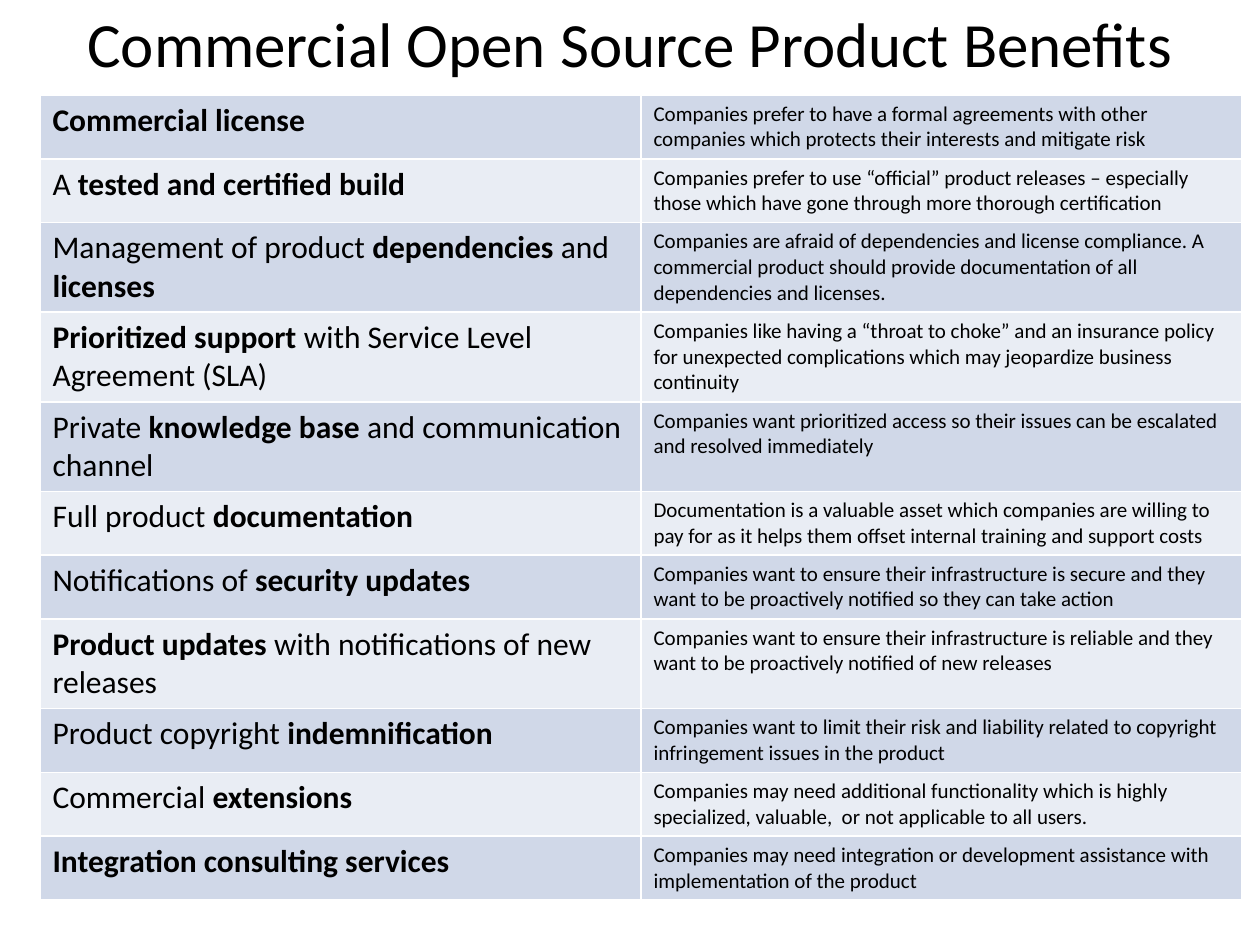
from lxml import etree
from pptx import Presentation
from pptx import util as u
from pptx.dml.color import RGBColor
from pptx.enum import text
from pptx.oxml.ns import qn

PX = 914400 // 126
BLACK = RGBColor(0x00, 0x00, 0x00)
WHITE = RGBColor(0xFF, 0xFF, 0xFF)
BANDS = [RGBColor(0xD0, 0xD8, 0xE8), RGBColor(0xE9, 0xED, 0xF4)]
COL_W, ROW_H = 601, 63

# Bold words stand between asterisks.
BENEFITS = [
    ("*Commercial license*",
     "Companies prefer to have a formal agreements with other companies "
     "which protects their interests and mitigate risk"),
    ("A *tested and certified build*",
     "Companies prefer to use “official” product releases – especially "
     "those which have gone through more thorough certification"),
    ("Management of product *dependencies *and* licenses*",
     "Companies are afraid of dependencies and license compliance. A commercial "
     "product should provide documentation of all dependencies and licenses."),
    ("*Prioritized support* with Service Level Agreement (SLA)",
     "Companies like having a “throat to choke” and an insurance policy for "
     "unexpected complications which may jeopardize business continuity"),
    ("Private *knowledge base* and communication channel",
     "Companies want prioritized access so their issues can be escalated "
     "and resolved immediately"),
    ("Full product *documentation*",
     "Documentation is a valuable asset which companies are willing to pay for "
     "as it helps them offset internal training and support costs"),
    ("Notifications of *security updates*",
     "Companies want to ensure their infrastructure is secure and they want "
     "to be proactively notified so they can take action"),
    ("*Product updates* with notifications of new releases",
     "Companies want to ensure their infrastructure is reliable and they want "
     "to be proactively notified of new releases"),
    ("Product copyright *indemnification*",
     "Companies want to limit their risk and liability related to copyright "
     "infringement issues in the product"),
    ("Commercial *extensions*",
     "Companies may need additional functionality which is highly specialized, "
     "valuable,  or not applicable to all users."),
    ("*Integration consulting services*",
     "Companies may need integration or development assistance with "
     "implementation of the product"),
]


def add_runs(p, marked, size):
    """Add the text to the paragraph, with the parts between asterisks bold."""
    for i, part in enumerate(marked.split("*")):
        if part:
            r = p.add_run()
            r.text = part
            fmt = {"name": "Calibri", "size": u.Pt(size), "bold": i % 2 == 1}
            for key, value in fmt.items():
                setattr(r.font, key, value)
            r.font.color.rgb = BLACK


def add_borders(cell, color, width):
    """Draw a solid line on all four sides of the cell."""
    tc_pr = cell._tc.get_or_add_tcPr()
    for side in ("a:lnL", "a:lnR", "a:lnT", "a:lnB"):
        ln = etree.SubElement(tc_pr, qn(side), w=str(u.Pt(width)))
        fill = etree.SubElement(ln, qn("a:solidFill"))
        etree.SubElement(fill, qn("a:srgbClr"), val=str(color))


prs = Presentation()
prs.slide_width, prs.slide_height = u.Inches(10), u.Inches(7.5)
s = prs.slides.add_slide(prs.slide_layouts[5])

title = s.shapes.title
box = {"left": 0, "top": 1, "width": 1260, "height": 93}
for key, value in box.items():
    setattr(title, key, value * PX)
tf = title.text_frame
frame = {"word_wrap": True, "auto_size": text.MSO_AUTO_SIZE.NONE,
         "vertical_anchor": text.MSO_ANCHOR.MIDDLE}
for key, value in frame.items():
    setattr(tf, key, value)
p = tf.paragraphs[0]
p.alignment, p.line_spacing = text.PP_ALIGN.CENTER, 0.9
add_runs(p, "Commercial Open Source Product Benefits", 36)

table = s.shapes.add_table(len(BENEFITS), 2, 40 * PX, 95 * PX, 2 * COL_W * PX,
                           len(BENEFITS) * ROW_H * PX).table
table.first_row = False
for col in table.columns:
    col.width = COL_W * PX
for i, benefit in enumerate(BENEFITS):
    table.rows[i].height = ROW_H * PX
    for j, (marked, size) in enumerate(zip(benefit, (18, 12))):
        cell = table.cell(i, j)
        add_borders(cell, WHITE, 1)
        cell.fill.solid()
        cell.fill.fore_color.rgb = BANDS[i % 2]
        add_runs(cell.text_frame.paragraphs[0], marked, size)

prs.save("out.pptx")
